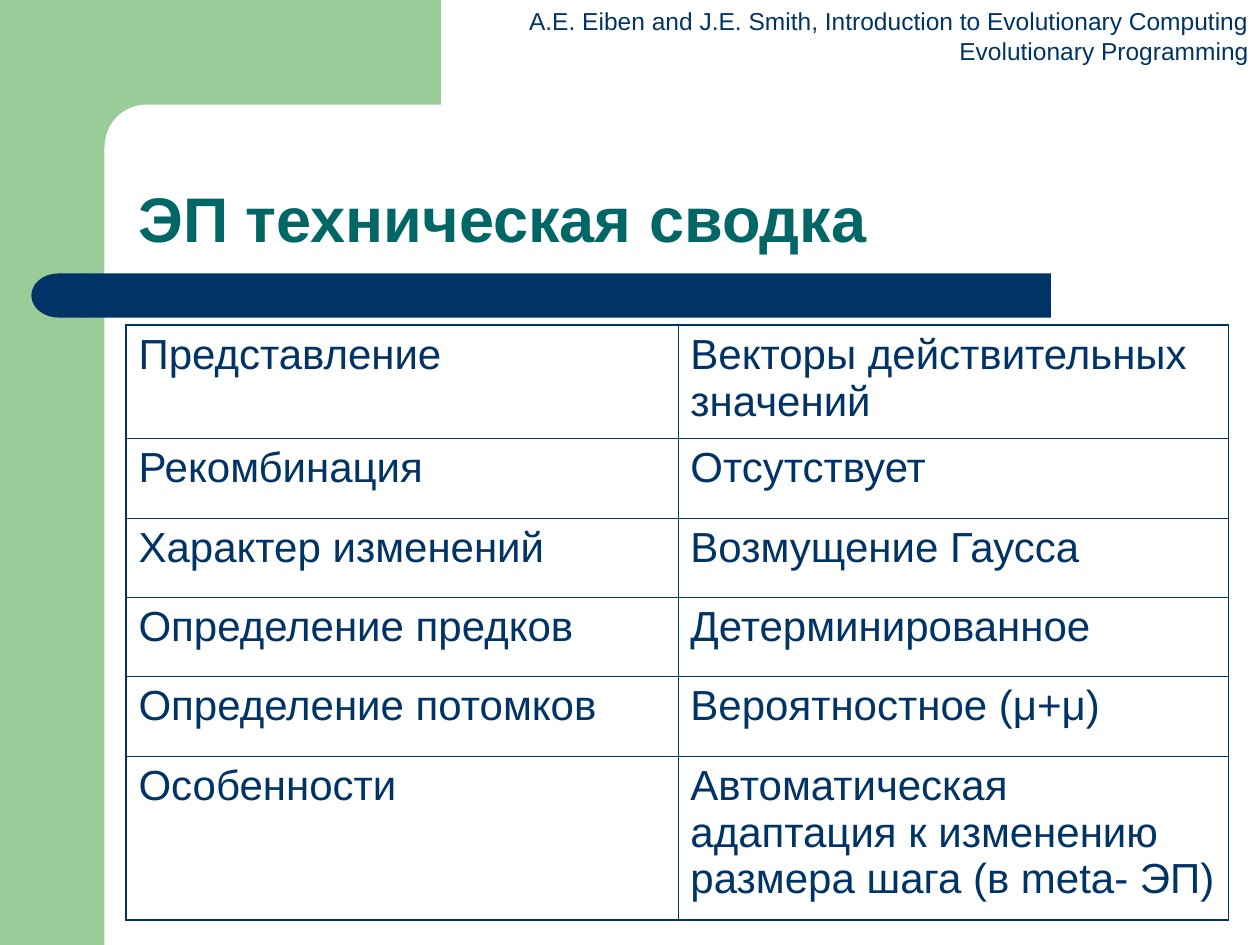
from lxml import etree
from pptx import Presentation
from pptx.dml.color import RGBColor
from pptx.enum import shapes, text
from pptx.oxml import ns
from pptx.util import Inches, Pt

GREEN = RGBColor(0x99, 0xCC, 0x99)
WHITE = RGBColor(0xFF, 0xFF, 0xFF)
NAVY = RGBColor(0x00, 0x33, 0x66)
TEAL = RGBColor(0x00, 0x66, 0x66)
KIND = shapes.MSO_SHAPE
THICK, THIN = 1.08, 0.45

ROWS = [
    ("Представление", "Векторы действительных значений"),
    ("Рекомбинация", "Отсутствует"),
    ("Характер изменений", "Возмущение Гаусса"),
    ("Определение предков", "Детерминированное"),
    ("Определение потомков", "Вероятностное (μ+μ)"),
    ("Особенности",
     "Автоматическая адаптация к изменению размера шага (в meta- ЭП)"),
]
WIDTHS = [4.38, 4.37]
HEIGHTS = [0.9] + [0.63] * 4 + [1.3]


class Deck:
    font = "Arial"

    def __init__(self):
        self.prs = Presentation()
        self.prs.slide_width = Inches(10)
        self.prs.slide_height = Inches(7.5)
        self.slide = self.prs.slides.add_slide(self.prs.slide_layouts[6])

    def shape(self, kind, box, color, adj=None, flip=False):
        item = self.slide.shapes.add_shape(kind, *map(Inches, box))
        item.shadow.inherit = False
        item.fill.solid()
        item.fill.fore_color.rgb = color
        item.line.fill.background()
        if adj is not None:
            item.adjustments[0] = adj
        if flip:
            item.element.spPr.xfrm.set("flipH", "1")

    def style(self, para, size, color, bold=False):
        for run in para.runs:
            run.font.name = self.font
            run.font.size = Pt(size)
            run.font.bold = bold
            run.font.color.rgb = color

    def text(self, box, words, size, color, bold=False, wrap=True,
             align=text.PP_ALIGN.LEFT, anchor=text.MSO_ANCHOR.TOP, gap=None):
        frame = self.slide.shapes.add_textbox(*map(Inches, box)).text_frame
        frame.word_wrap = wrap
        frame.vertical_anchor = anchor
        frame.text = words
        for para in frame.paragraphs:
            para.alignment = align
            para.line_spacing = gap
            self.style(para, size, color, bold)

    def border(self, cell, sides):
        """Draw the cell's edges; sides maps L, R, T, B to widths in points."""
        props = cell._tc.get_or_add_tcPr()
        for i, (side, width) in enumerate(sides.items()):
            line = etree.Element(ns.qn(f"a:ln{side}"), w=str(Pt(width)))
            fill = etree.SubElement(line, ns.qn("a:solidFill"))
            etree.SubElement(fill, ns.qn("a:srgbClr"), val=str(NAVY))
            props.insert(i, line)

    def table(self, left, top, rows, widths, heights, size):
        frame = self.slide.shapes.add_table(
            len(rows), len(widths), Inches(left), Inches(top),
            Inches(sum(widths)), Inches(sum(heights)))
        grid = frame.table
        grid.first_row = grid.horz_banding = False
        for col, width in zip(grid.columns, widths):
            col.width = Inches(width)
        for row, height in zip(grid.rows, heights):
            row.height = Inches(height)
        for r, row in enumerate(rows):
            for c, words in enumerate(row):
                cell = grid.cell(r, c)
                cell.text = words
                self.style(cell.text_frame.paragraphs[0], size, NAVY)
                cell.fill.background()
                outer = {"L": c == 0, "R": c == len(row) - 1,
                         "T": r == 0, "B": r == len(rows) - 1}
                self.border(cell, {side: THICK if edge else THIN
                                   for side, edge in outer.items()})


def main():
    deck = Deck()
    deck.shape(KIND.RECTANGLE, (0, 0, 0.83, 7.5), GREEN)
    deck.shape(KIND.RECTANGLE, (0.75, 0, 2.75, 1.17), GREEN)
    deck.shape(KIND.ROUNDED_RECTANGLE, (0.83, 0.83, 5.58, 0.67), WHITE, 0.5)
    deck.shape(KIND.ROUNDED_RECTANGLE, (0.67, 2.17, 7.67, 0.35), NAVY, 0)
    deck.shape(KIND.FLOWCHART_DELAY, (0.25, 2.17, 0.43, 0.35), NAVY, flip=True)
    deck.text((4.1, 0, 5.91, 0.57),
              "A.E. Eiben and J.E. Smith, Introduction to Evolutionary "
              "Computing\nEvolutionary Programming",
              14, NAVY, wrap=False, align=text.PP_ALIGN.RIGHT)
    deck.text((1, 0.83, 8.75, 1.25), "ЭП техническая сводка", 36, TEAL,
              bold=True, anchor=text.MSO_ANCHOR.BOTTOM, gap=0.9)
    deck.table(1, 2.58, ROWS, WIDTHS, HEIGHTS, 24)
    deck.prs.save("out.pptx")


if __name__ == "__main__":
    main()
